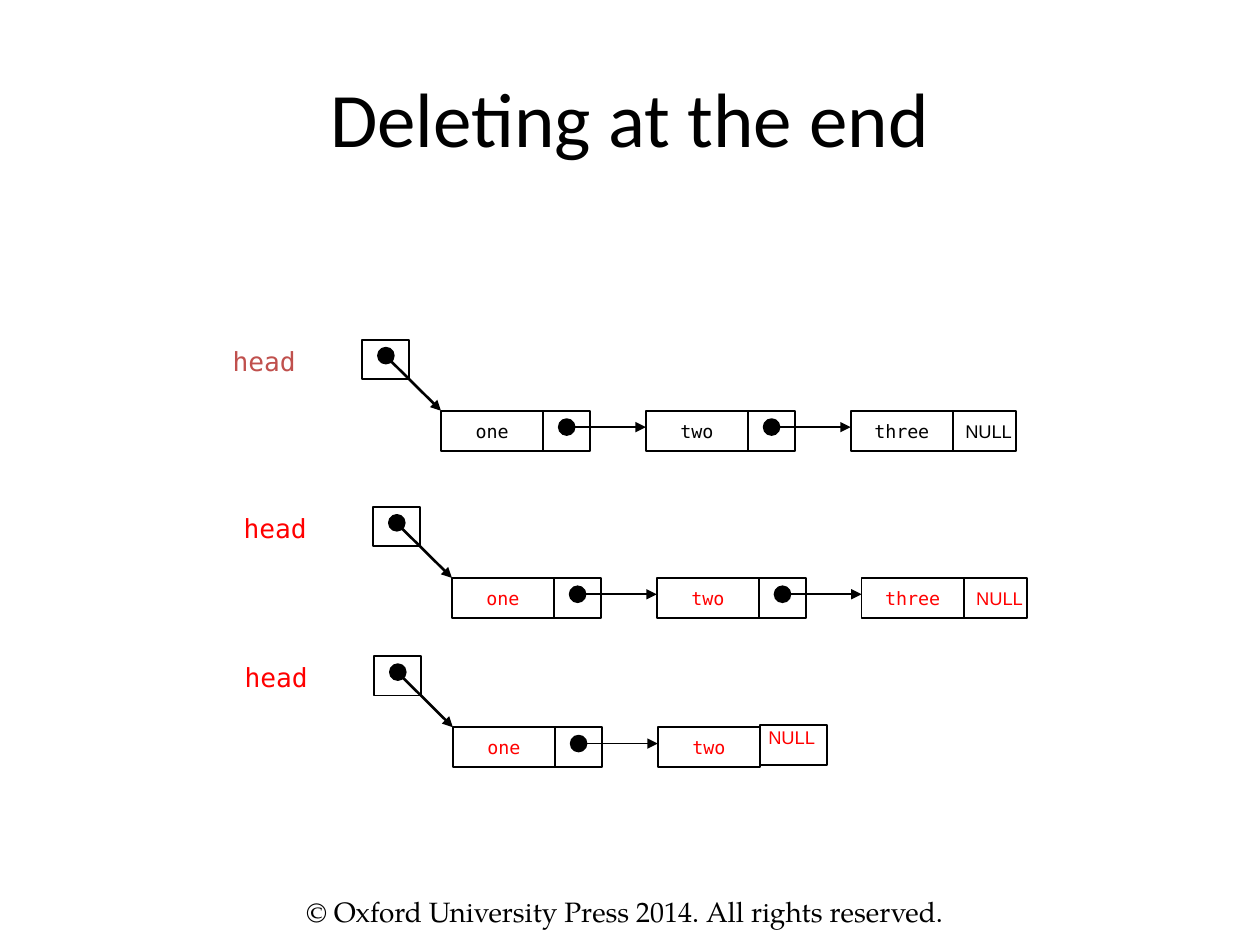
from dataclasses import dataclass

from lxml import etree
from pptx import Presentation
from pptx.dml.color import RGBColor
from pptx.enum.shapes import MSO_CONNECTOR, MSO_SHAPE
from pptx.enum.text import MSO_ANCHOR, PP_ALIGN
from pptx.oxml.ns import qn
from pptx.util import Cm, Pt

RECT, OVAL = MSO_SHAPE.RECTANGLE, MSO_SHAPE.OVAL
LINE = MSO_CONNECTOR.STRAIGHT
LEFT, MID = PP_ALIGN.LEFT, PP_ALIGN.CENTER
TOP, CORE = MSO_ANCHOR.TOP, MSO_ANCHOR.MIDDLE
MONO, SANS = "DejaVu Sans Mono", "Arial"
BLACK, RED, BRICK = "000000", "FF0000", "C0504D"

# Node sizes in cm
PITCH, DATA, LINK, HIGH, DOT = 4.13, 2.06, 0.95, 0.81, 0.32


@dataclass
class Chain:
    """A linked list; x and y are the top left corner of its first node."""
    x: float
    y: float
    words: list[str]
    head: str
    ink: str
    loose: bool = False  # NULL stands in a text box of its own


CHAINS = [
    Chain(8.89, 8.28, ["one", "two", "three"], BRICK, BLACK),
    Chain(9.11, 11.65, ["one", "two", "three"], RED, RED),
    Chain(9.13, 14.66, ["one", "two"], RED, RED, loose=True),
]

deck = Presentation()
deck.slide_width, deck.slide_height = Cm(25.4), Cm(19.05)
slide = deck.slides.add_slide(deck.slide_layouts[6])
shapes = slide.shapes


def tint(code: str) -> RGBColor:
    return RGBColor.from_string(code)


def write(shape, text: str, *, font: str = MONO, size: float = 10.5,
          ink: str = BLACK, align=MID, anchor=CORE, wrap: bool = False) -> None:
    frame = shape.text_frame
    frame.word_wrap = wrap
    frame.vertical_anchor = anchor
    para = frame.paragraphs[0]
    para.alignment = align
    run = para.add_run()
    run.text = text
    run.font.name, run.font.size = font, Pt(size)
    run.font.color.rgb = tint(ink)


def label(x: float, y: float, w: float, h: float, text: str, **style) -> None:
    write(shapes.add_textbox(Cm(x), Cm(y), Cm(w), Cm(h)), text, **style)


def draw(kind, x: float, y: float, w: float, h: float, fill: str = ""):
    shape = shapes.add_shape(kind, Cm(x), Cm(y), Cm(w), Cm(h))
    shape.shadow.inherit = False
    if fill:
        shape.fill.solid()
        shape.fill.fore_color.rgb = tint(fill)
    else:
        shape.fill.background()
    shape.line.color.rgb = tint(BLACK)
    shape.line.width = Pt(1)
    return shape


def arrow(x: float, y: float, to_x: float, to_y: float, width: float = 1) -> None:
    link = shapes.add_connector(LINE, Cm(x), Cm(y), Cm(to_x), Cm(to_y))
    link.line.color.rgb = tint(BLACK)
    link.line.width = Pt(width)
    tip = etree.SubElement(link.line._get_or_add_ln(), qn("a:tailEnd"))
    tip.set("type", "triangle")
    etree.SubElement(link._element.spPr, qn("a:effectLst"))


def null(x: float, y: float, chain: Chain) -> None:
    style = {"font": SANS, "ink": chain.ink, "align": LEFT}
    if chain.loose:
        draw(RECT, x, y - 0.04, 1.35, HIGH)
        label(x - 0.08, y - 0.15, 1.47, 0.71, "NULL", anchor=TOP, **style)
    else:
        write(draw(RECT, x, y, 1.27, HIGH), "NULL", **style)


def build(chain: Chain) -> None:
    x, y = chain.x, chain.y
    # Head pointer
    label(x - 4.45, y - 1.45, 3.02, 0.89, "head", size=15, ink=chain.head,
          align=LEFT, anchor=TOP, wrap=True)
    draw(RECT, x - 1.59, y - 1.43, LINK, 0.79)
    draw(OVAL, x - 1.27, y - 1.27, DOT, DOT, BLACK)
    arrow(x - 1.11, y - 1.1, x, y, 1.5)
    # Nodes, each with a link to the next or NULL
    for i, word in enumerate(chain.words):
        left = x + i * PITCH
        write(draw(RECT, left, y, DATA, HIGH), word, ink=chain.ink)
        side = left + DATA
        if i == len(chain.words) - 1:
            null(side, y, chain)
        else:
            draw(RECT, side, y, LINK, HIGH)
            draw(OVAL, side + (LINK - DOT) / 2, y + 0.17, DOT, DOT, BLACK)
            arrow(side + LINK / 2, y + 0.33, left + PITCH, y + 0.33)


# Title and footer
label(1.27, 0.76, 22.86, 3.18, "Deleting at the end", font="Calibri", size=44,
      wrap=True)
label(5.92, 17.91, 15.04, 0.94,
      "© Oxford University Press 2014. All rights reserved.",
      font="TeX Gyre Pagella", size=16, align=LEFT, anchor=TOP, wrap=True)

# Linked lists
for chain in CHAINS:
    build(chain)

deck.save("out.pptx")
